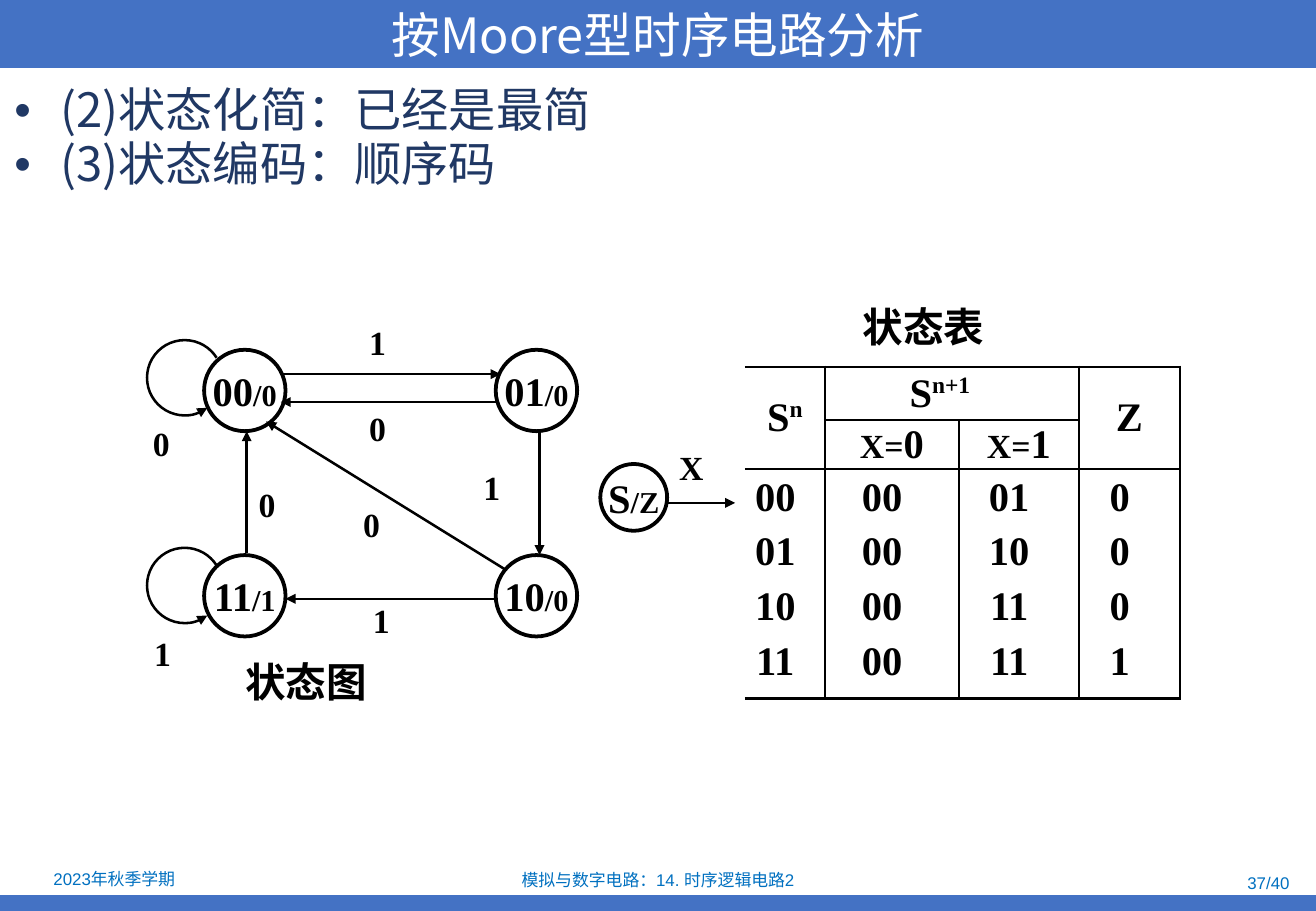
"""Build the slide that analyses a Moore sequential circuit with a state diagram and a state table."""
from lxml.etree import SubElement
from pptx import Presentation
from pptx.dml.color import RGBColor
from pptx.enum.shapes import MSO_CONNECTOR, MSO_SHAPE
from pptx.enum.text import MSO_ANCHOR, PP_ALIGN
from pptx.oxml.ns import qn
from pptx.util import Inches, Pt

SANS = "Noto Sans CJK SC"
SERIF = "Times New Roman"


def write(frame, text, size=20, font=SERIF, color="000000", bold=True, align=PP_ALIGN.LEFT,
          wrap=False, anchor=MSO_ANCHOR.TOP, tail="", tail_size=18, raised=False, bullet=False):
    frame.word_wrap = wrap
    frame.vertical_anchor = anchor
    para = frame.add_paragraph() if frame.paragraphs[0].runs else frame.paragraphs[0]
    para.alignment = align
    if bullet:
        properties = para._p.get_or_add_pPr()
        properties.set("marL", str(Inches(0.38)))
        properties.set("indent", str(-Inches(0.38)))
        SubElement(properties, qn("a:buFont"), typeface="Arial")
        SubElement(properties, qn("a:buChar"), char="•")
    for words, points in ((text, size), (tail, tail_size)):
        if words:
            span = para.add_run()
            span.text = words
            span.font.size = Pt(points)
            span.font.name = font
            span.font.bold = bold
            span.font.color.rgb = RGBColor.from_string(color)
            SubElement(span.font._element, qn("a:ea"), typeface=SANS)
            if raised and words == tail:
                span.font._element.set("baseline", "35000")
    return para


def outline(shape, width, arrow=None):
    shape.line.color.rgb = RGBColor.from_string("000000")
    shape.line.width = Pt(width)
    if arrow:
        SubElement(shape.line._get_or_add_ln(), qn(f"a:{arrow}"), type="triangle")
    SubElement(shape._element.spPr, qn("a:effectLst"))


deck = Presentation()
deck.slide_width = Inches(10.83)
deck.slide_height = Inches(7.5)
page = deck.slides.add_slide(deck.slide_layouts[6])
shapes = page.shapes

for top, height, heading in ((7.37, 0.13, ""), (0, 0.56, "按Moore型时序电路分析")):
    band = shapes.add_shape(MSO_SHAPE.RECTANGLE, 0, Inches(top), Inches(10.83), Inches(height))
    band.shadow.inherit = False
    band.fill.solid()
    band.fill.fore_color.rgb = RGBColor.from_string("4472C4")
    band.line.fill.background()
    if heading:
        write(band.text_frame, heading, size=28.8, font=SANS, color="FFFFFF", bold=False,
              align=PP_ALIGN.CENTER, anchor=MSO_ANCHOR.MIDDLE)

footers = (
    (0.02, 7.13, 1.84, "2023年秋季学期", PP_ALIGN.CENTER),
    (3.7, 7.14, 3.43, "模拟与数字电路：14. 时序逻辑电路2", PP_ALIGN.CENTER),
    (8.18, 7.16, 2.53, "37/40", PP_ALIGN.RIGHT),
)
for left, top, width, text, align in footers:
    box = shapes.add_textbox(Inches(left), Inches(top), Inches(width), Inches(0.21))
    write(box.text_frame, text, size=10, font="Arial", color="0070C0", bold=False,
          align=align, wrap=True, anchor=MSO_ANCHOR.MIDDLE)

body = shapes.add_textbox(Inches(0.02), Inches(0.64), Inches(10.81), Inches(1.3))
for step in ("(2)状态化简：已经是最简", "(3)状态编码：顺序码"):
    para = write(body.text_frame, step, size=28, font=SANS, color="203864", bold=False,
                 wrap=True, bullet=True)
    para.line_spacing = 0.96

states = (
    (1.68, 2.88, 0.67, "00", "/0"),
    (4.08, 2.88, 0.67, "01", "/0"),
    (4.08, 4.57, 0.67, "10", "/0"),
    (1.68, 4.57, 0.67, "11", "/1"),
    (4.94, 3.82, 0.55, "S", "/Z"),
)
for left, top, size, state, output in states:
    circle = shapes.add_shape(MSO_SHAPE.OVAL, Inches(left), Inches(top), Inches(size), Inches(size))
    circle.fill.background()
    outline(circle, 2.25)
    write(circle.text_frame, state, size=24, tail=output,
          align=PP_ALIGN.CENTER, anchor=MSO_ANCHOR.MIDDLE)

transitions = (
    (2.31, 3.08, 4.12, 3.08),
    (4.08, 3.31, 2.31, 3.31),
    (4.44, 3.55, 4.44, 4.57),
    (4.08, 4.93, 2.35, 4.93),
    (4.16, 4.69, 2.19, 3.47),
    (2.03, 4.55, 2.03, 3.55),
    (5.49, 4.14, 6.05, 4.14),
)
for ends in transitions:
    arrow = shapes.add_connector(MSO_CONNECTOR.STRAIGHT, *map(Inches, ends))
    outline(arrow, 1.5, arrow="tailEnd")

for top in (2.8, 4.51):
    loop = shapes.add_shape(MSO_SHAPE.ARC, Inches(1.21), Inches(top), Inches(0.62), Inches(0.62))
    loop.adjustments[0] = 53 * 0.6
    loop.adjustments[1] = 328 * 0.6
    loop.fill.background()
    outline(loop, 1.5, arrow="headEnd")

inputs = (
    (2.94, 2.6, "1"), (3.88, 3.79, "1"), (2.97, 4.89, "1"), (2.89, 4.1, "0"), (2.94, 3.31, "0"),
    (2.03, 3.93, "0"), (1.16, 3.43, "0"), (1.17, 5.16, "1"), (5.49, 3.63, "X"),
)
for left, top, value in inputs:
    box = shapes.add_textbox(Inches(left), Inches(top), Inches(0.34), Inches(0.44))
    write(box.text_frame, value)

for left, top, caption in ((1.92, 5.36, "状态图"), (7, 2.44, "状态表")):
    box = shapes.add_textbox(Inches(left), Inches(top), Inches(1.22), Inches(0.51))
    write(box.text_frame, caption, size=24, font="Arial")

widths = (0.66, 1.1, 0.99, 0.83)
heights = (0.44, 0.39, 0.44, 0.44, 0.44, 0.54)
table = shapes.add_table(6, 4, Inches(6.13), Inches(3.02), Inches(sum(widths)),
                         Inches(sum(heights))).table
table.first_row = False
table.horz_banding = False
for column, width in zip(table.columns, widths):
    column.width = Inches(width)
for row, height in zip(table.rows, heights):
    row.height = Inches(height)

for row in range(6):
    for column in range(4):
        cell = table.cell(row, column)
        cell.margin_left = cell.margin_right = cell.margin_top = cell.margin_bottom = 0
        cell.vertical_anchor = MSO_ANCHOR.MIDDLE
        next_state = column in (1, 2)
        borders = {
            "lnL": column > 0 and (row, column) != (0, 2),
            "lnR": (row, column) != (0, 1),
            "lnT": row in (0, 2) or (row == 1 and next_state),
            "lnB": row in (1, 5) or (row == 0 and next_state),
        }
        for side, drawn in borders.items():
            border = SubElement(cell._tc.get_or_add_tcPr(), qn(f"a:{side}"), w=str(Pt(1.5)))
            if drawn:
                ink = SubElement(border, qn("a:solidFill"))
                SubElement(ink, qn("a:srgbClr"), val="000000")
            else:
                SubElement(border, qn("a:noFill"))
        cell.fill.background()

table.cell(0, 0).merge(table.cell(1, 0))
table.cell(0, 1).merge(table.cell(0, 2))
table.cell(0, 3).merge(table.cell(1, 3))
table.cell(0, 1).margin_right = Inches(0.2)
headers = (
    (0, 0, "S", 24, "n", 24), (0, 1, "S", 24, "n+1", 24), (0, 3, "Z", 24, "", 24),
    (1, 1, "X=", 20, "0", 24), (1, 2, "X=", 20, "1", 24),
)
for row, column, text, size, tail, tail_size in headers:
    write(table.cell(row, column).text_frame, text, size=size, tail=tail, tail_size=tail_size,
          raised=row == 0, wrap=True, align=PP_ALIGN.CENTER)

records = (("00", "00", "01", "0"), ("01", "00", "10", "0"),
           ("10", "00", "11", "0"), ("11", "00", "11", "1"))
for row, record in enumerate(records, start=2):
    for column, value in enumerate(record):
        cell = table.cell(row, column)
        cell.vertical_anchor = MSO_ANCHOR.TOP
        cell.margin_top = Inches(0.05)
        cell.margin_right = Inches(0.16)
        write(cell.text_frame, value, size=24, wrap=True, align=PP_ALIGN.CENTER)

deck.save("out.pptx")
